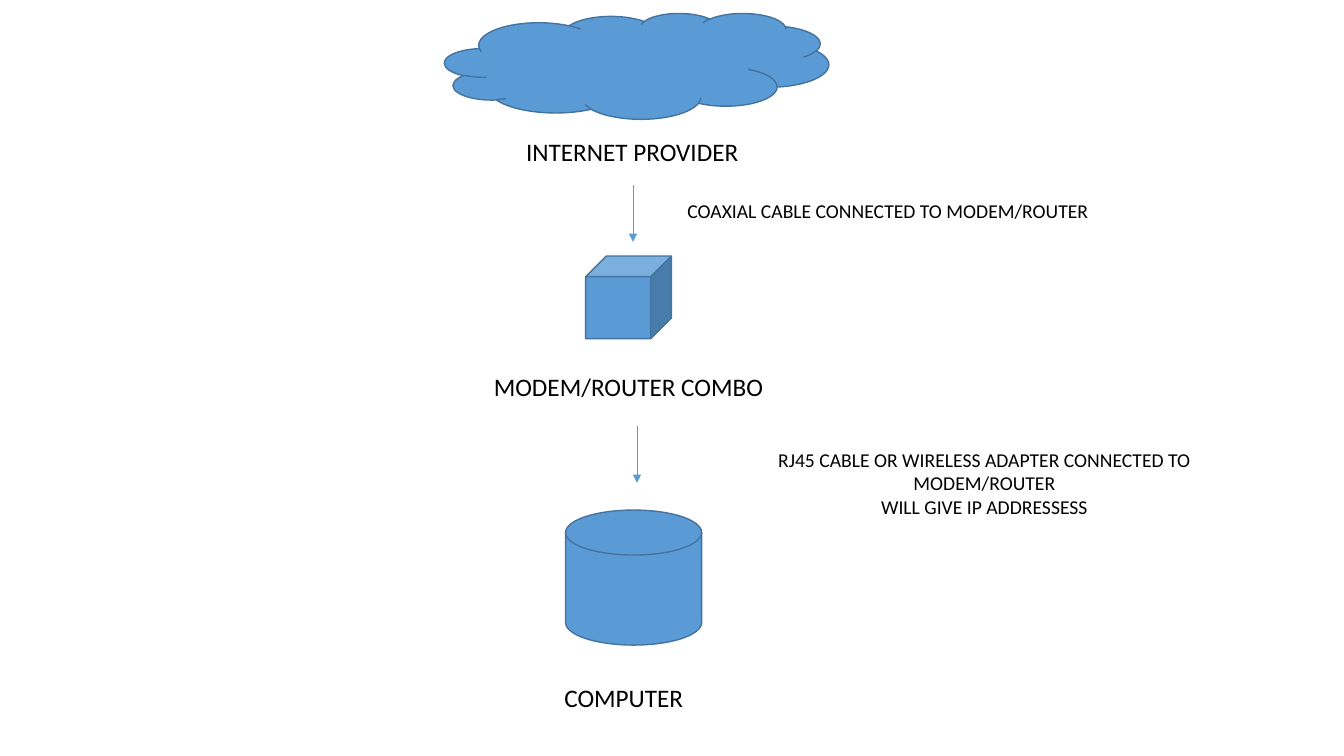
"""Build a slide showing how a computer reaches the internet provider."""
import pptx
import pptx.dml.color
import pptx.enum.shapes
import pptx.enum.text
import pptx.oxml
import pptx.oxml.ns
import pptx.util

SHAPE = pptx.enum.shapes.MSO_SHAPE
ALIGN = pptx.enum.text.PP_ALIGN
BLUE, EDGE, BLACK = "5B9BD5", "43739E", "000000"


def rgb(value):
    """Turn a hex string into a colour."""
    return pptx.dml.color.RGBColor.from_string(value)


class Diagram:
    """Hold the style and the slide; lengths are percent of the slide's size."""

    font = "Calibri"

    def __init__(self, prs):
        """Add a blank slide."""
        self.prs = prs
        self.slide = prs.slides.add_slide(prs.slide_layouts[6])

    def grid(self, x, y):
        """Convert percent across and down to lengths."""
        return int(self.prs.slide_width * x / 100), int(self.prs.slide_height * y / 100)

    def node(self, kind, x, y, w, h):
        """Draw a filled preset shape."""
        sp = self.slide.shapes.add_shape(kind, *self.grid(x, y), *self.grid(w, h))
        sp.shadow.inherit = False
        sp.fill.solid()
        sp.fill.fore_color.rgb = rgb(BLUE)
        sp.line.color.rgb = rgb(EDGE)
        sp.line.width = pptx.util.Pt(1)

    def text(self, lines, x, y, w, h, size, align=ALIGN.LEFT):
        """Write one paragraph per line in a text box."""
        sp = self.slide.shapes.add_textbox(*self.grid(x, y), *self.grid(w, h))
        tf = sp.text_frame
        tf.word_wrap = True
        tf.auto_size = pptx.enum.text.MSO_AUTO_SIZE.SHAPE_TO_FIT_TEXT
        tf.text = "\n".join(lines)
        for p in tf.paragraphs:
            p.alignment = align
            p.font.name = self.font
            p.font.size = pptx.util.Pt(size)
            p.font.color.rgb = rgb(BLACK)

    def arrow(self, x, y, length):
        """Draw a downward arrow."""
        sp = self.slide.shapes.add_connector(
            pptx.enum.shapes.MSO_CONNECTOR.STRAIGHT,
            *self.grid(x, y), *self.grid(x, y + length))
        sp.line.color.rgb = rgb(BLUE)
        sp.line.width = pptx.util.Pt(0.5)
        ns = pptx.oxml.ns.nsdecls("a")
        sp.line._get_or_add_ln().append(
            pptx.oxml.parse_xml(f'<a:tailEnd {ns} type="triangle"/>'))
        sp._element.spPr.append(pptx.oxml.parse_xml(f"<a:effectLst {ns}/>"))


prs = pptx.Presentation()
prs.slide_width = pptx.util.Inches(13.33)
prs.slide_height = pptx.util.Inches(7.5)
diagram = Diagram(prs)

devices = [
    (SHAPE.CLOUD, (33.08, 1.73, 28.58, 14), "INTERNET PROVIDER", (38.4, 17.33, 17.93)),
    (SHAPE.CUBE, (43.58, 33.87, 6.38, 10.93), "MODEM/ROUTER COMBO", (36, 48.4, 22.35)),
    (SHAPE.FLOWCHART_MAGNETIC_DISK, (42.08, 67.47, 10.13, 17.87),
     "COMPUTER", (41.25, 89.6, 11.03)),
]
for kind, box, label, place in devices:
    diagram.node(kind, *box)
    diagram.text([label], *place, 5.33, 18)

for x, y in [(47.1, 24.53), (47.4, 56.4)]:
    diagram.arrow(x, y, 7.47)

diagram.text(["COAXIAL CABLE CONNECTED TO MODEM/ROUTER"], 50.4, 25.6, 41.93, 4.53, 14)
diagram.text(["RJ45 CABLE OR WIRELESS ADAPTER CONNECTED TO MODEM/ROUTER",
              "WILL GIVE IP ADDRESSESS"], 52.28, 58.53, 41.93, 10.8, 14, ALIGN.CENTER)

prs.save("out.pptx")
